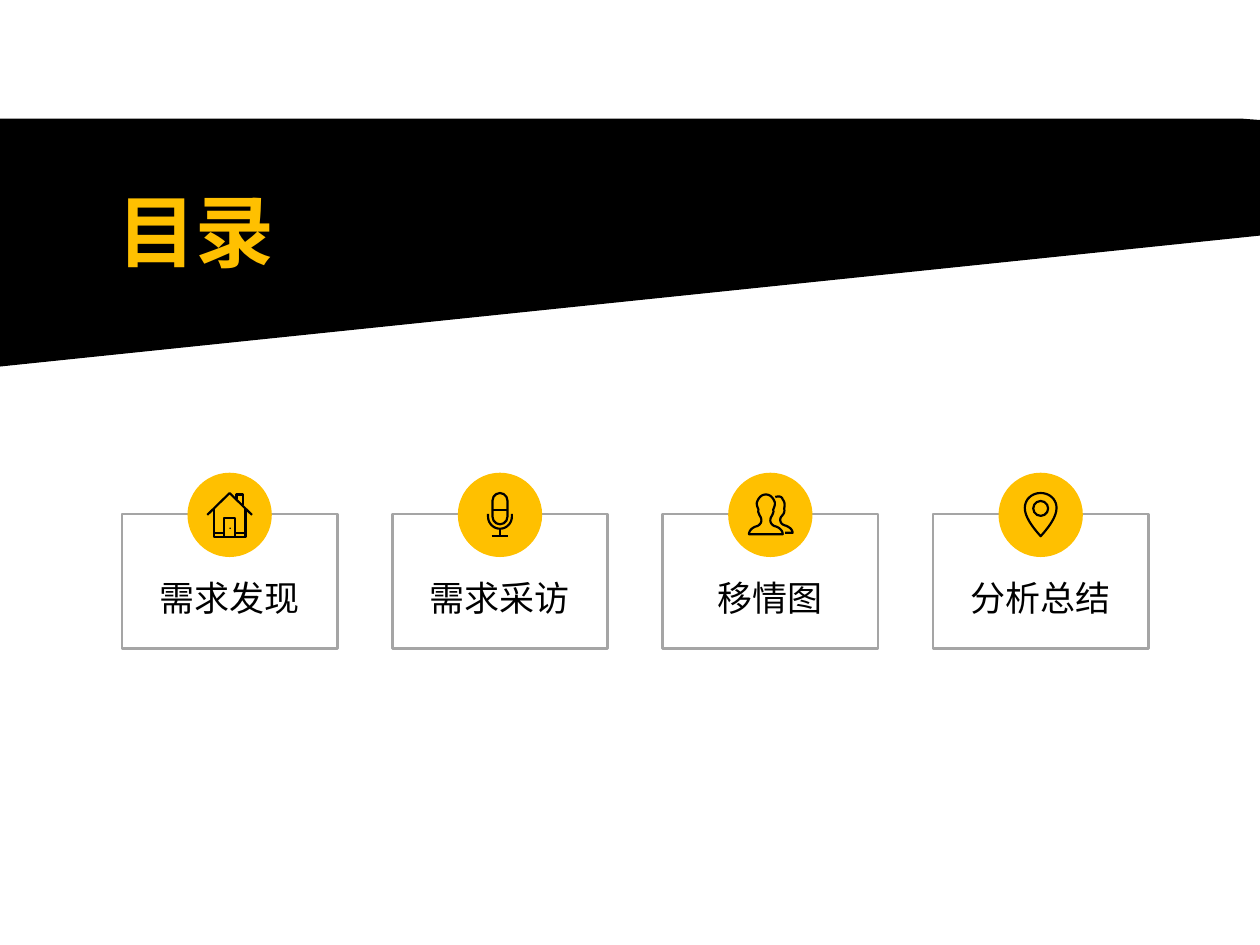
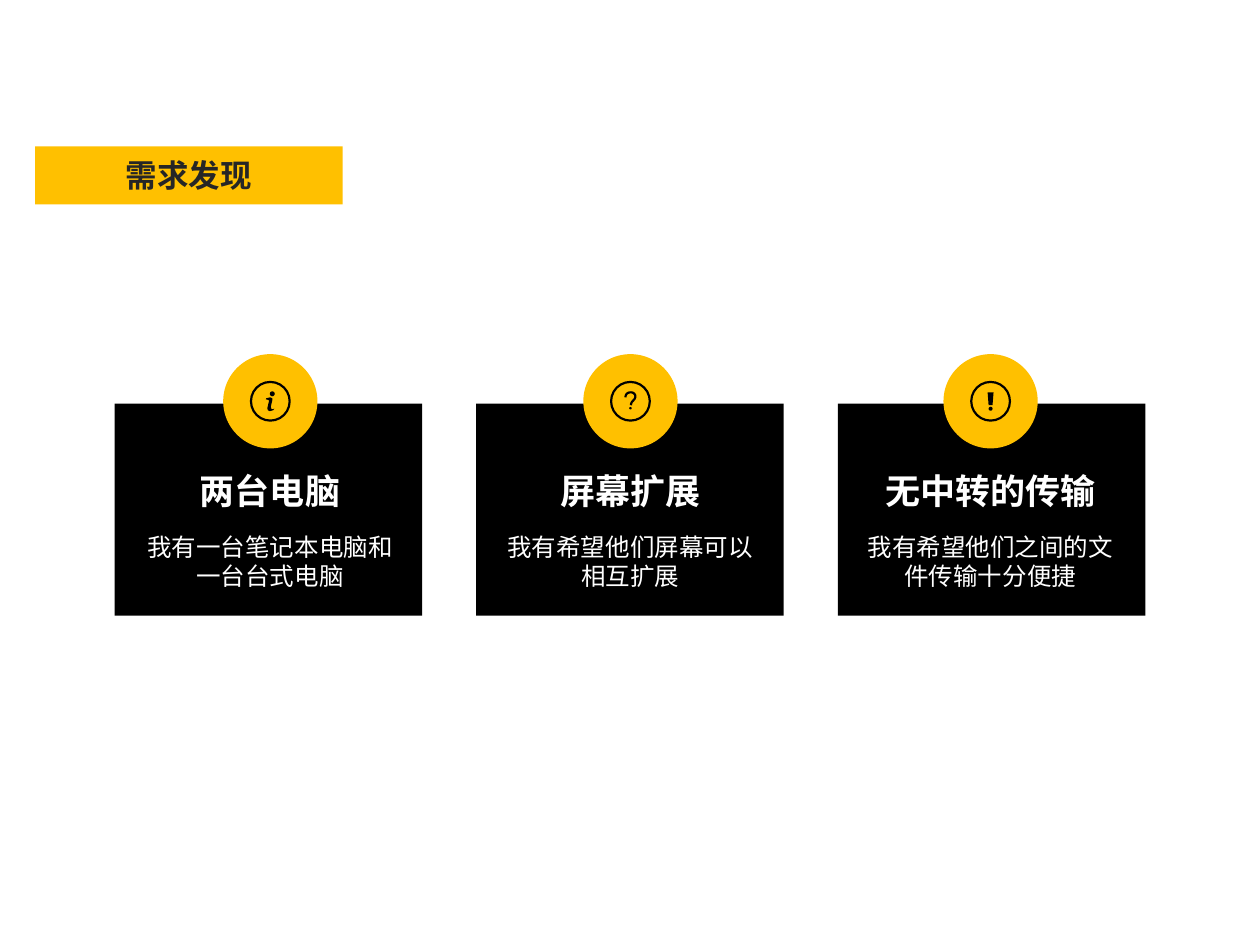
import pptx
import pptx.util
import pptx.dml.color
import pptx.enum.shapes
import pptx.enum.text

Cm = pptx.util.Cm
Pt = pptx.util.Pt
RGBColor = pptx.dml.color.RGBColor
MSO_SHAPE = pptx.enum.shapes.MSO_SHAPE
PP_ALIGN = pptx.enum.text.PP_ALIGN
MSO_ANCHOR = pptx.enum.text.MSO_ANCHOR

BLACK = RGBColor(0x00, 0x00, 0x00)
WHITE = RGBColor(0xFF, 0xFF, 0xFF)
YELLOW = RGBColor(0xFF, 0xC0, 0x00)
GREY = RGBColor(0xA5, 0xA5, 0xA5)
CHARCOAL = RGBColor(0x26, 0x26, 0x26)
FONT = "Arial"
STROKE = 1.25
ICON_UNIT = 0.01
CURVE_STEPS = 10


def style_shape(shape, fill=None, line=None, weight=STROKE):
    shape.shadow.inherit = False
    if fill is None:
        shape.fill.background()
    else:
        shape.fill.solid()
        shape.fill.fore_color.rgb = fill
    if line is None:
        shape.line.fill.background()
    else:
        shape.line.color.rgb = line
        shape.line.width = Pt(weight)


def add_preset(page, kind, left, top, width, height, **style):
    shape = page.shapes.add_shape(kind, Cm(left), Cm(top), Cm(width), Cm(height))
    style_shape(shape, **style)
    return shape


def add_circle(page, center, radius, **style):
    x, y = center
    return add_preset(page, MSO_SHAPE.OVAL, x - radius, y - radius,
                      2 * radius, 2 * radius, **style)


def add_outline(page, points, closed=True, **style):
    corners = [(Cm(x), Cm(y)) for x, y in points]
    builder = page.shapes.build_freeform(*corners[0])
    builder.add_line_segments(corners[1:], close=closed)
    style_shape(builder.convert_to_shape(), **style)


def add_text(page, text, left, top, width, height, size=20, color=BLACK,
             bold=False, align=PP_ALIGN.CENTER, anchor=MSO_ANCHOR.TOP):
    box = page.shapes.add_textbox(Cm(left), Cm(top), Cm(width), Cm(height))
    frame = box.text_frame
    frame.word_wrap = True
    frame.vertical_anchor = anchor
    frame.margin_left = frame.margin_right = Cm(0.18)
    frame.margin_top = frame.margin_bottom = Cm(0.1)
    para = frame.paragraphs[0]
    para.alignment = align
    span = para.add_run()
    span.text = text
    span.font.name = FONT
    span.font.size = Pt(size)
    span.font.bold = bold
    span.font.color.rgb = color


def trace(start, *curves):
    points = [start]
    for x1, y1, x2, y2, x3, y3 in curves:
        x0, y0 = points[-1]
        for step in range(1, CURVE_STEPS + 1):
            t = step / CURVE_STEPS
            a, b, c, d = (1 - t) ** 3, 3 * t * (1 - t) ** 2, 3 * t * t * (1 - t), t ** 3
            points.append((a * x0 + b * x1 + c * x2 + d * x3,
                           a * y0 + b * y1 + c * y2 + d * y3))
    return points


def mirror(half):
    return half + [(-x, y) for x, y in reversed(half)]


def place(center, points):
    x0, y0 = center
    return [(x0 + x * ICON_UNIT, y0 + y * ICON_UNIT) for x, y in points]


def add_stroke(page, center, points, closed=False):
    add_outline(page, place(center, points), closed, line=BLACK)


def add_ring(page, center, y, radius):
    add_circle(page, place(center, [(0, y)])[0], radius * ICON_UNIT, line=BLACK)


def add_dot(page, center, x, y, radius):
    add_circle(page, place(center, [(x, y)])[0], radius * ICON_UNIT, fill=BLACK)


def draw_house(page, center):
    for points in (
        [(-45, 0), (0, -44), (45, 0)],
        [(-32, -12), (-32, 44), (32, 44), (32, -12)],
        [(-11, 44), (-11, 6), (11, 6), (11, 44)],
        [(-32, 36), (-11, 36)],
        [(11, 36), (32, 36)],
        [(14, -32), (14, -41), (27, -41), (27, -20)],
    ):
        add_stroke(page, center, points)
    add_dot(page, center, 1, 27, 1.5)


def draw_microphone(page, center):
    (left, top), (right, bottom) = place(center, [(-15, -44), (15, 19)])
    body = add_preset(page, MSO_SHAPE.ROUNDED_RECTANGLE, left, top,
                      right - left, bottom - top, line=BLACK)
    body.adjustments[0] = 0.5
    cup = mirror([(-24, -2)] + trace((-24, 4), (-24, 17, -13, 28, 0, 28)))
    for points in (cup, [(-15, -10), (15, -10)], [(0, 28), (0, 43)], [(-17, 43), (17, 43)]):
        add_stroke(page, center, points)


def draw_people(page, center):
    front = mirror(trace(
        (-34, 39), (-34, 31, -26, 25, -19, 23), (-17, 23, -9, 19, -9, 11),
        (-9, 4, -14, 1, -14, -3), (-16, -5, -15, -8, -15, -11),
        (-17, -16, -20, -22, -17, -28), (-13, -37, -7, -41, 0, -41)))
    add_stroke(page, center, [(x - 9, y) for x, y in front], closed=True)
    back = trace(
        (10, -36), (13, -37, 16, -37, 17, -37), (21, -37, 24, -35, 25, -31),
        (30, -25, 29, -19, 28, -12), (29, -8, 28, -5, 27, -3),
        (26, 1, 20, 3, 20, 10), (20, 18, 27, 21, 32, 22), (38, 25, 44, 28, 45, 36))
    add_stroke(page, center, back + [(30, 36)])


def draw_pin(page, center):
    half = trace((0, 43), (-8, 34, -32, 8, -32, -14), (-32, -31, -18, -44, 0, -44))
    add_stroke(page, center, mirror(half), closed=True)
    add_ring(page, center, -13, 15)


def draw_info(page, center):
    stem = [(-9, -4), (-8, -6), (0, -8), (4, -6), (4, -2), (1, 11), (2, 15), (4, 16),
            (8, 15), (6, 18), (-1, 20), (-5, 18), (-6, 14), (-3, 1), (-3, -2), (-5, -3)]
    add_outline(page, place(center, stem), fill=BLACK)
    add_dot(page, center, 4, -15, 5)


def draw_question(page, center):
    hook = trace((-10, -8), (-10, -14, -6, -18, 1, -18),
                 (6, -18, 10, -14, 10, -10), (10, -2, 1, -1, 1, 8))
    add_stroke(page, center, hook)
    add_dot(page, center, 0, 14, 2.5)


def draw_exclamation(page, center):
    add_outline(page, place(center, [(-6, -18), (6, -18), (4, 8), (-4, 8)]), fill=BLACK)
    add_dot(page, center, 0, 15, 4)


def add_contents_item(page, index, label, draw_icon):
    left, top, width = 2.46 + 5.45 * index, 10.36, 4.34
    center = (left + width / 2, 10.38)
    add_preset(page, MSO_SHAPE.RECTANGLE, left, top, width, 2.72, line=GREY, weight=1.5)
    add_circle(page, center, 0.85, fill=YELLOW)
    draw_icon(page, center)
    add_text(page, label, left, 11.66, width, 0.76, anchor=MSO_ANCHOR.MIDDLE)


def add_need_card(page, index, heading, detail, draw_icon):
    center = (5.45 + 7.26 * index, 8.09)
    text_left = 2.74 + 7.26 * index
    add_preset(page, MSO_SHAPE.RECTANGLE, 2.31 + 7.29 * index, 8.14, 6.2, 4.27, fill=BLACK)
    add_circle(page, center, 0.95, fill=YELLOW)
    add_ring(page, center, 0, 39)
    draw_icon(page, center)
    add_text(page, heading, text_left, 9.37, 5.41, 0.71, color=WHITE, bold=True)
    add_text(page, detail, text_left, 10.62, 5.41, 0.71, size=14, color=WHITE)


def add_section_tag(page, text):
    area = (0.71, 2.95, 6.2, 1.17)
    add_preset(page, MSO_SHAPE.RECTANGLE, *area, fill=YELLOW)
    add_text(page, text, *area, size=18, color=CHARCOAL, bold=True,
             anchor=MSO_ANCHOR.MIDDLE)


def build_contents(page):
    band = [(0, 2.39), (25, 2.39), (25.4, 2.42), (25.4, 4.75), (0, 7.39)]
    add_outline(page, band, fill=BLACK)
    add_text(page, "目录", 2.18, 3.58, 9.37, 2.11, size=45, color=YELLOW, bold=True,
             align=PP_ALIGN.LEFT, anchor=MSO_ANCHOR.BOTTOM)
    items = [("需求发现", draw_house), ("需求采访", draw_microphone),
             ("移情图", draw_people), ("分析总结", draw_pin)]
    for index, item in enumerate(items):
        add_contents_item(page, index, *item)


def build_needs(page):
    cards = [
        ("两台电脑", "我有一台笔记本电脑和一台台式电脑", draw_info),
        ("屏幕扩展", "我有希望他们屏幕可以相互扩展", draw_question),
        ("无中转的传输", "我有希望他们之间的文件传输十分便捷", draw_exclamation),
    ]
    for index, card in enumerate(cards):
        add_need_card(page, index, *card)
    add_section_tag(page, "需求发现")


def main():
    deck = pptx.Presentation()
    deck.slide_width, deck.slide_height = Cm(25.4), Cm(19.05)
    for build in (build_contents, build_needs):
        build(deck.slides.add_slide(deck.slide_layouts[6]))
    deck.save("out.pptx")


if __name__ == "__main__":
    main()
